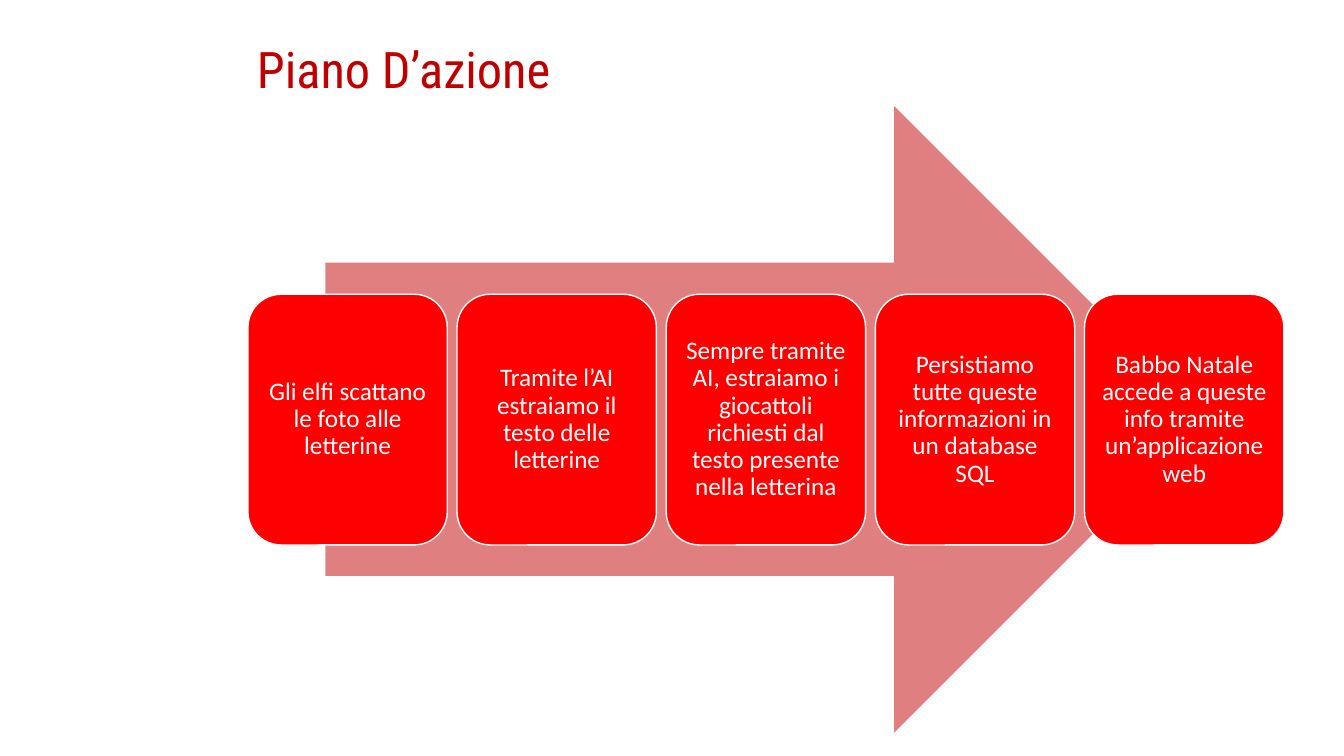
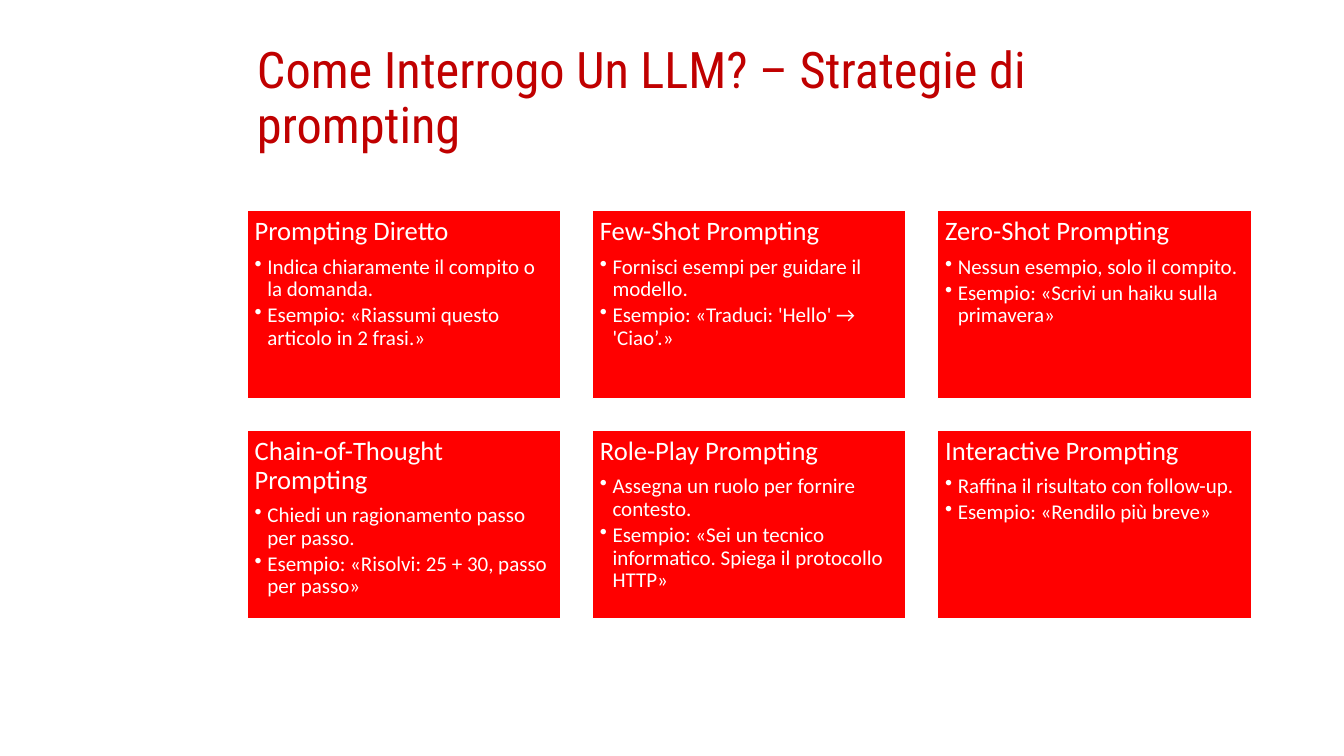
from lxml.etree import SubElement
from pptx import Presentation
from pptx.dml.color import RGBColor
from pptx.enum.shapes import MSO_SHAPE as Shape
from pptx.enum.text import MSO_ANCHOR as Anchor, PP_ALIGN as Align
from pptx.oxml.ns import qn
from pptx.util import Pt

# Shared look
DARK_RED = RGBColor(0xC0, 0x00, 0x00)
RED = RGBColor(0xFF, 0x00, 0x00)
WHITE = RGBColor(0xFF, 0xFF, 0xFF)
TITLE_FONT = "Roboto Condensed"
BODY_FONT = "Calibri"
LEFT = 176.5

# Slide content
STEPS = [
    "Gli elfi scattano le foto alle letterine",
    "Tramite l’AI estraiamo il testo delle letterine",
    "Sempre tramite AI, estraiamo i giocattoli richiesti dal testo presente nella letterina",
    "Persistiamo tutte queste informazioni in un database SQL",
    "Babbo Natale accede a queste info tramite un’applicazione web",
]
STRATEGIES = [
    ("Prompting Diretto",
     ["Indica chiaramente il compito o la domanda.",
      "Esempio: «Riassumi questo articolo in 2 frasi.»"]),
    ("Few-Shot Prompting",
     ["Fornisci esempi per guidare il modello.",
      "Esempio: «Traduci: 'Hello' → 'Ciao’.»"]),
    ("Zero-Shot Prompting",
     ["Nessun esempio, solo il compito.",
      "Esempio: «Scrivi un haiku sulla primavera»"]),
    ("Chain-of-Thought Prompting",
     ["Chiedi un ragionamento passo per passo.",
      "Esempio: «Risolvi: 25 + 30, passo per passo»"]),
    ("Role-Play Prompting",
     ["Assegna un ruolo per fornire contesto.",
      "Esempio: «Sei un tecnico informatico. Spiega il protocollo HTTP»"]),
    ("Interactive Prompting",
     ["Raffina il risultato con follow-up.",
      "Esempio: «Rendilo più breve»"]),
]


def write(para, text, size, font=BODY_FONT, color=WHITE, align=Align.LEFT, after=0):
    para.alignment = align
    para.line_spacing = 0.9
    para.space_after = Pt(after)
    span = para.add_run()
    span.text = text
    span.font.size = Pt(size)
    span.font.name = font
    span.font.color.rgb = color


def add_bullet(para, indent=9):
    properties = para._p.get_or_add_pPr()
    properties.set("marL", str(Pt(indent)))
    properties.set("indent", str(-Pt(indent)))
    SubElement(properties, qn("a:buChar")).set("char", "•")


def add_title(page, text):
    box = page.shapes.add_textbox(Pt(LEFT), Pt(28.8), Pt(717), Pt(63.4))
    box.text_frame.word_wrap = True
    write(box.text_frame.paragraphs[0], text, 36, TITLE_FONT, DARK_RED)


def add_panel(page, kind, left, top, width, height, margin, anchor):
    """Red panel with a white outline; returns its text frame."""
    panel = page.shapes.add_shape(kind, Pt(left), Pt(top), Pt(width), Pt(height))
    panel.shadow.inherit = False
    panel.fill.solid()
    panel.fill.fore_color.rgb = RED
    panel.line.color.rgb = WHITE
    panel.line.width = Pt(1)
    frame = panel.text_frame
    frame.word_wrap = True
    frame.vertical_anchor = anchor
    frame.margin_left = frame.margin_right = Pt(margin)
    frame.margin_top = frame.margin_bottom = Pt(margin)
    return frame


def add_background_arrow(page):
    arrow = page.shapes.add_shape(
        Shape.RIGHT_ARROW, Pt(232.5), Pt(75.6), Pt(630), Pt(447.8))
    arrow.shadow.inherit = False
    arrow.line.fill.background()
    arrow.fill.solid()
    arrow.fill.fore_color.rgb = DARK_RED
    # Half-transparent fill
    color = arrow._element.spPr.find(qn("a:solidFill")).find(qn("a:srgbClr"))
    SubElement(color, qn("a:alpha")).set("val", "50000")


def add_step(page, index, text):
    frame = add_panel(page, Shape.ROUNDED_RECTANGLE, 177.1 + index * 149.4, 210.2,
                      142.4, 179.1, 5.3, Anchor.MIDDLE)
    write(frame.paragraphs[0], text, 18, align=Align.CENTER)


def add_card(page, index, heading, points, columns=3):
    row, column = divmod(index, columns)
    frame = add_panel(page, Shape.RECTANGLE, LEFT + column * 246.6, 150.3 + row * 157,
                      224.2, 134.5, 5.4, Anchor.TOP)
    write(frame.paragraphs[0], heading, 19, after=6.65)
    for point in points:
        para = frame.add_paragraph()
        add_bullet(para)
        write(para, point, 15, after=2.25)


def add_page(deck, title):
    page = deck.slides.add_slide(deck.slide_layouts[6])
    add_title(page, title)
    return page


def main():
    deck = Presentation()
    deck.slide_width, deck.slide_height = Pt(960), Pt(540)

    # Action plan
    page = add_page(deck, "Piano D’azione")
    add_background_arrow(page)
    for index, text in enumerate(STEPS):
        add_step(page, index, text)

    # Prompting strategies
    page = add_page(deck, "Come Interrogo Un LLM? – Strategie di prompting")
    for index, (heading, points) in enumerate(STRATEGIES):
        add_card(page, index, heading, points)

    deck.save("out.pptx")


if __name__ == "__main__":
    main()
